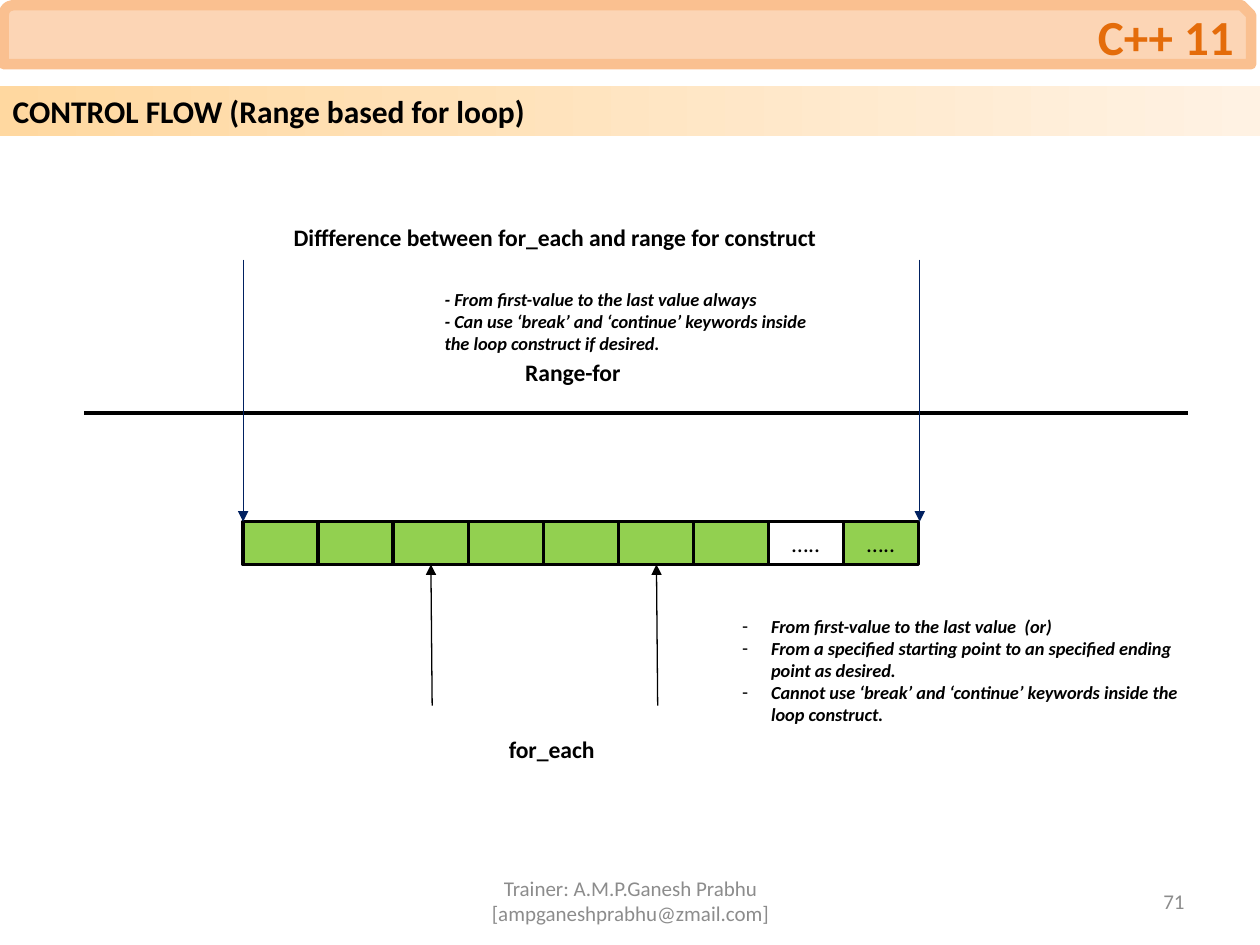
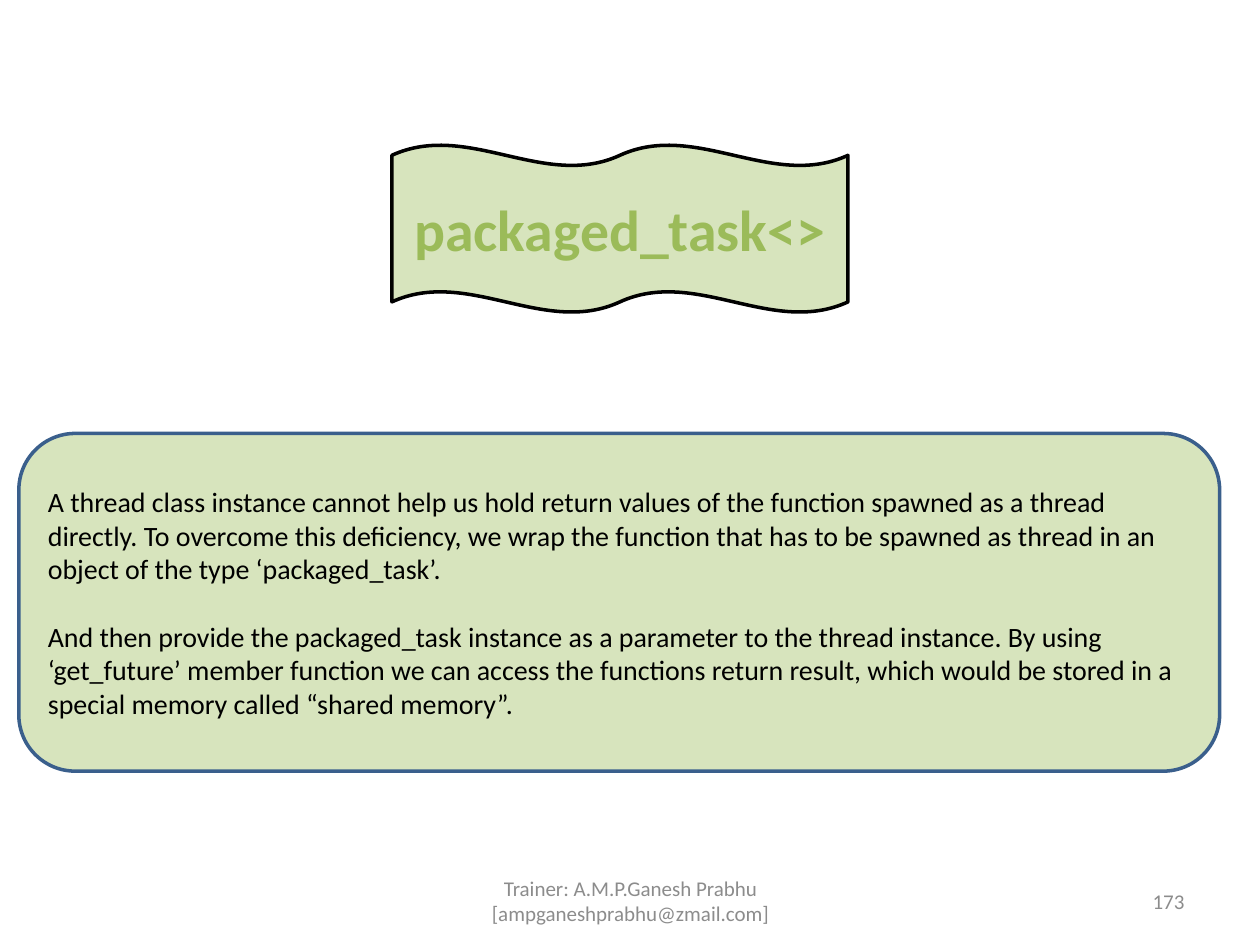
from lxml import etree
from pptx import Presentation
from pptx.dml.color import RGBColor
from pptx.enum.shapes import MSO_CONNECTOR, MSO_SHAPE
from pptx.enum.text import MSO_ANCHOR, MSO_AUTO_SIZE, PP_ALIGN
from pptx.oxml.ns import qn
from pptx.util import Inches, Pt

LEFT, CENTER, RIGHT = PP_ALIGN.LEFT, PP_ALIGN.CENTER, PP_ALIGN.RIGHT
TOP, MIDDLE = MSO_ANCHOR.TOP, MSO_ANCHOR.MIDDLE
RECTANGLE, ROUNDED = MSO_SHAPE.RECTANGLE, MSO_SHAPE.ROUNDED_RECTANGLE
SNIPPED, WAVE = MSO_SHAPE.SNIP_ROUND_RECTANGLE, MSO_SHAPE.DOUBLE_WAVE

FONT = "Calibri"
BLACK, GREY, NAVY = "000000", "8C8C8C", "002060"
CELL_GREEN, PALE_GREEN, TITLE_GREEN = "92D050", "D7E4BD", "9BBB59"
PEACH, PEACH_EDGE, ORANGE = "FCD5B5", "FAC090", "E46C0A"
BAND_START, BAND_END, BOX_EDGE = "FFD8A0", "FFF2E3", "3A5F8C"
FOOTER = "Trainer: A.M.P.Ganesh Prabhu [ampganeshprabhu@zmail.com]"


def rgb(value):
    return RGBColor.from_string(value)


def place(shape, left, top, width, height):
    shape.left, shape.top = Inches(left), Inches(top)
    shape.width, shape.height = Inches(width), Inches(height)


def write(shape, lines, size, color=BLACK, bold=False, italic=False,
          align=LEFT, anchor=TOP, gap=0):
    """Fill a shape with one paragraph per line; gap is the space between."""
    frame = shape.text_frame
    frame.text = "\n".join(lines)
    frame.word_wrap = True
    frame.auto_size = MSO_AUTO_SIZE.NONE
    frame.vertical_anchor = anchor
    for index, para in enumerate(frame.paragraphs):
        para.alignment = align
        para.space_before = Pt(gap if index else 0)
        for span in para.runs:
            font = span.font
            font.name, font.size = FONT, Pt(size)
            font.bold, font.italic = bold, italic
            font.color.rgb = rgb(color)


def set_bullets(shape, mark=None, indent=0):
    """Give every paragraph a hanging mark, or none at all."""
    for para in shape.text_frame.paragraphs:
        props = para._p.get_or_add_pPr()
        props.set("marL", str(Inches(indent)))
        props.set("indent", str(-Inches(indent)))
        if mark:
            etree.SubElement(props, qn("a:buChar")).set("char", mark)
        else:
            etree.SubElement(props, qn("a:buNone"))


def add_text(page, area, lines, size, **style):
    box = page.shapes.add_textbox(*map(Inches, area))
    write(box, lines, size, **style)
    return box


def add_box(page, kind, area, fill, edge, weight):
    box = page.shapes.add_shape(kind, *map(Inches, area))
    box.shadow.inherit = False
    if fill:
        box.fill.solid()
        box.fill.fore_color.rgb = rgb(fill)
    else:
        box.fill.background()
    box.line.color.rgb = rgb(edge)
    box.line.width = Pt(weight)
    return box


def add_line(page, start, end, color, weight, arrow=False):
    line = page.shapes.add_connector(
        MSO_CONNECTOR.STRAIGHT, *map(Inches, start + end))
    line.line.color.rgb = rgb(color)
    line.line.width = Pt(weight)
    if arrow:
        tail = etree.SubElement(line.line._get_or_add_ln(), qn("a:tailEnd"))
        tail.set("type", "triangle")
    etree.SubElement(line._element.spPr, qn("a:effectLst"))


def bring_to_front(page, shape):
    page.shapes.element.append(shape.element)


def add_page(deck, number):
    """Add a slide with the shared footer; return it with its placeholders."""
    page = deck.slides.add_slide(deck.slide_layouts[1])
    add_text(page, (3.42, 6.95, 3.17, 0.4), [FOOTER], 12, color=GREY,
             align=CENTER, anchor=MIDDLE)
    add_text(page, (7.17, 6.95, 2.33, 0.4), [str(number)], 12, color=GREY,
             align=RIGHT, anchor=MIDDLE)
    return page, page.shapes.title, page.placeholders[1]


def add_value_strip(page, left, top, right, height, count):
    """Draw a row of equal value cells; the last two stand for the rest."""
    width = (right - left) / count
    for index in range(count):
        fill = None if index == count - 2 else CELL_GREEN
        cell = add_box(page, RECTANGLE,
                       (left + index * width, top, width, height),
                       fill, BLACK, 2)
        if index >= count - 2:
            write(cell, ["….."], 13.5, align=CENTER, anchor=MIDDLE)


def build_range_for(deck):
    page, title, notes = add_page(deck, 71)

    # Header and title band
    header = add_box(page, SNIPPED, (0.03, 0.04, 9.9, 0.47),
                     PEACH, PEACH_EDGE, 6)
    write(header, ["C++ 11"], 28, color=ORANGE, bold=True,
          align=RIGHT, anchor=MIDDLE)
    place(title, 0, 0.68, 10, 0.4)
    title.fill.gradient()
    title.fill.gradient_angle = 0
    for stop, color in zip(title.fill.gradient_stops, (BAND_START, BAND_END)):
        stop.color.rgb = rgb(color)
    write(title, ["CONTROL FLOW (Range based for loop)"], 18, bold=True,
          anchor=MIDDLE)

    # Divider, values and arrows
    strip_left, strip_right, strip_top, strip_height = 1.93, 7.29, 4.14, 0.34
    strip_bottom = strip_top + strip_height
    add_line(page, (0.67, 3.28), (9.43, 3.28), BLACK, 2.25)
    add_value_strip(page, strip_left, strip_top, strip_right, strip_height, 9)
    for x in (strip_left, strip_right + 0.01):
        add_line(page, (x, 2.06), (x, strip_top), NAVY, 0.75, arrow=True)
    for x in (3.42, 5.21):
        add_line(page, (x + 0.01, 5.6), (x, strip_bottom), BLACK, 0.75,
                 arrow=True)

    # Labels
    labels = [
        ((4.07, 2.79, 1.08, 0.33), "Range-for", LEFT),
        ((3.94, 5.78, 1.1, 0.33), "for_each", LEFT),
        ((1.94, 1.72, 4.93, 0.33),
         "Diffference between for_each and range for construct", CENTER),
    ]
    for area, label, align in labels:
        add_text(page, area, [label], 13.5, bold=True, align=align)

    # Properties of each construct
    add_text(page, (3.43, 2.24, 3.28, 0.63), [
        "- From first-value to the last value always",
        "- Can use ‘break’ and ‘continue’ keywords inside the loop construct "
        "if desired.",
    ], 10.5, bold=True, italic=True)
    place(notes, 5.79, 4.83, 3.83, 1.16)
    write(notes, [
        "From first-value to the last value\u00a0 (or)".replace("\u00a0", " "),
        "From a specified starting point to an specified ending point as "
        "desired.",
        "Cannot use ‘break’ and ‘continue’ keywords inside the loop "
        "construct.",
    ], 10.5, bold=True, italic=True)
    set_bullets(notes, "-", 0.23)


def build_packaged_task(deck):
    page, title, body = add_page(deck, 173)

    # Title on a waving flag
    flag = (3.11, 1.15, 3.62, 1.33)
    add_box(page, WAVE, flag, PALE_GREEN, BLACK, 2)
    place(title, *flag)
    write(title, ["packaged_task<>"], 33, color=TITLE_GREEN, bold=True,
          align=CENTER, anchor=MIDDLE)
    title.text_frame.margin_left = title.text_frame.margin_right = Inches(0.07)
    bring_to_front(page, title)

    # Explanation in a rounded box
    add_box(page, ROUNDED, (0.15, 3.44, 9.53, 2.68), PALE_GREEN, BOX_EDGE, 2)
    place(body, 0.28, 3.44, 9.27, 2.68)
    write(body, [
        "A thread class instance cannot help us hold return values of the "
        "function spawned as a thread directly. To overcome this deficiency, "
        "we wrap the function that has to be spawned as thread in an object "
        "of the type ‘packaged_task’.",
        "And then provide the packaged_task instance as a parameter to the "
        "thread instance. By using ‘get_future’ member function we can access "
        "the functions return result, which would be stored in a special "
        "memory called “shared memory”.",
    ], 16, anchor=MIDDLE, gap=19.5)
    set_bullets(body)
    bring_to_front(page, body)


def main():
    deck = Presentation()
    deck.slide_width, deck.slide_height = Inches(10), Inches(7.5)
    build_range_for(deck)
    build_packaged_task(deck)
    deck.save("out.pptx")


if __name__ == "__main__":
    main()
